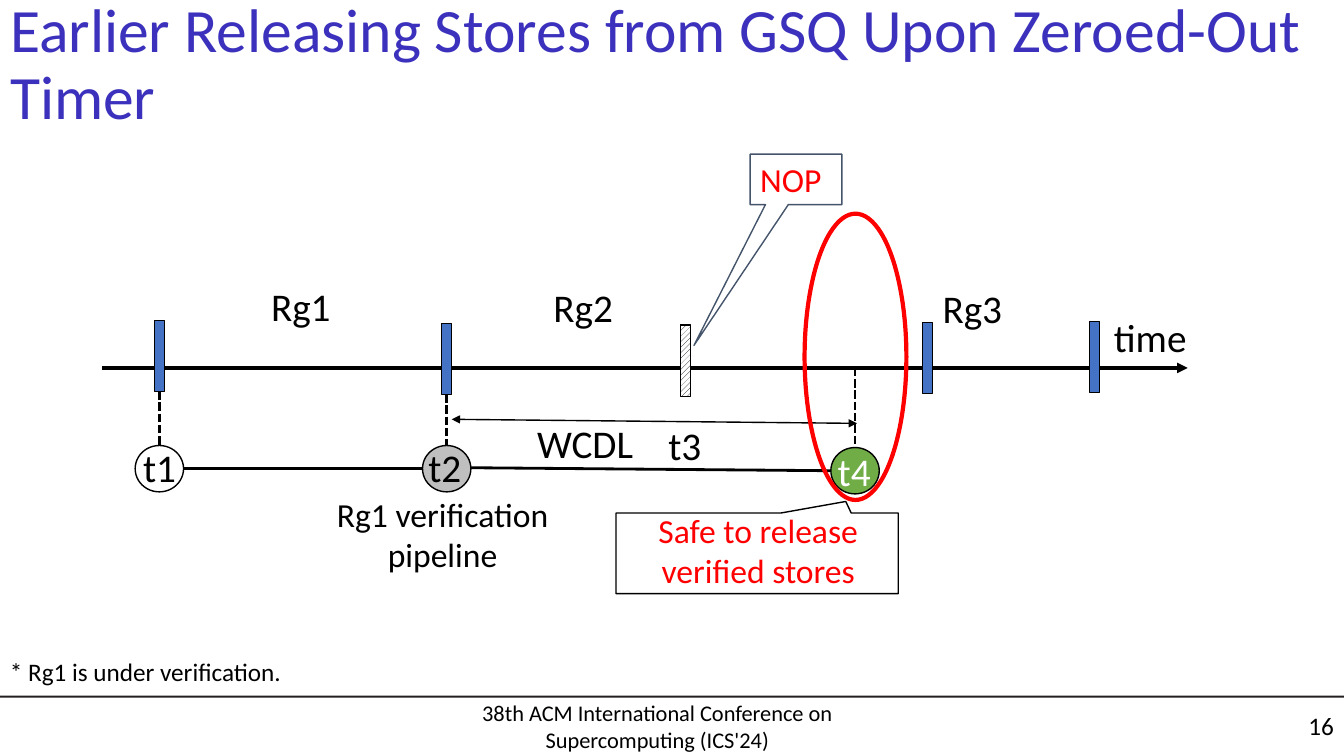
from lxml import etree
from pptx import Presentation
from pptx.dml.color import RGBColor
from pptx.enum.dml import MSO_LINE, MSO_PATTERN
from pptx.enum.shapes import MSO_CONNECTOR, MSO_SHAPE as SHAPE
from pptx.enum.text import MSO_ANCHOR as ANCHOR, MSO_AUTO_SIZE as FIT, PP_ALIGN as ALIGN
from pptx.oxml.ns import qn
from pptx.util import Inches, Pt

COLORS = {
    "title": "3B31BD", "ink": "000000", "paper": "FFFFFF", "alert": "FF0000",
    "region": "4472C4", "pending": "BFBFBF", "safe": "70AD47",
    "callout": "44546A", "rule": "231F20",
}


def rgb(name):
    return RGBColor.from_string(COLORS[name])


class TimelineSlide:
    """Holds the text style and the slide that the elements are added to."""

    def __init__(self, slide, font="Calibri"):
        self.slide = slide
        self.shapes = slide.shapes
        self.font = font

    def set_text(self, sp, text, size, color="ink", align=ALIGN.LEFT,
                 anchor=ANCHOR.TOP, wrap=False, fit=FIT.SHAPE_TO_FIT_TEXT, spacing=None):
        tf = sp.text_frame
        tf.text = text
        frame = {"word_wrap": wrap, "auto_size": fit, "vertical_anchor": anchor}
        for name, value in frame.items():
            setattr(tf, name, value)
        for p in tf.paragraphs:
            p.alignment = align
            p.line_spacing = spacing
            for r in p.runs:
                for name, value in {"name": self.font, "size": Pt(size)}.items():
                    setattr(r.font, name, value)
                r.font.color.rgb = rgb(color)

    def title(self, text, box):
        sp = self.shapes.title
        for name, value in zip(("left", "top", "width", "height"), box):
            setattr(sp, name, Inches(value))
        self.set_text(sp, text, 44, "title", anchor=ANCHOR.MIDDLE, wrap=True,
                      fit=FIT.NONE, spacing=0.9)

    def label(self, text, box, size=28, **style):
        sp = self.shapes.add_textbox(*map(Inches, box))
        self.set_text(sp, text, size, **style)

    def shape(self, kind, box, fill=None, line="ink", weight=1.0, adj=(), rotation=0):
        sp = self.shapes.add_shape(kind, *map(Inches, box))
        sp.shadow.inherit = False
        sp.rotation = rotation
        for i, value in enumerate(adj):
            sp.adjustments[i] = value
        if fill == "hatch":
            sp.fill.patterned()
            sp.fill.pattern = MSO_PATTERN.WIDE_UPWARD_DIAGONAL
            sp.fill.fore_color.rgb = rgb("ink")
            sp.fill.back_color.rgb = rgb("paper")
        elif fill:
            sp.fill.solid()
            sp.fill.fore_color.rgb = rgb(fill)
        else:
            sp.fill.background()
        if line:
            sp.line.color.rgb = rgb(line)
            sp.line.width = Pt(weight)
        else:
            sp.line.fill.background()
        return sp

    def bar(self, left, top, fill="region"):
        self.shape(SHAPE.RECTANGLE, (left, top, 0.1, 0.7), fill, weight=0)

    def node(self, left, top, fill):
        self.shape(SHAPE.OVAL, (left, top, 0.46, 0.48), fill, rotation=90)

    def line(self, start, end, weight=2.0, dashed=False, arrows=()):
        """Draw a line; arrows lists the ends ("head", "tail") with a triangle."""
        sp = self.shapes.add_connector(MSO_CONNECTOR.STRAIGHT,
                                       *map(Inches, (*start, *end)))
        sp.line.color.rgb = rgb("ink")
        sp.line.width = Pt(weight)
        if dashed:
            sp.line.dash_style = MSO_LINE.SQUARE_DOT
        spPr = sp._element.spPr
        ln = spPr.find(qn("a:ln"))
        for end_name in arrows:
            etree.SubElement(ln, qn(f"a:{end_name}End"), type="triangle")
        etree.SubElement(spPr, qn("a:effectLst"))


def main():
    prs = Presentation()
    prs.slide_width, prs.slide_height = Inches(13.33), Inches(7.5)
    s = TimelineSlide(prs.slides.add_slide(prs.slide_layouts[5]))

    s.shape(SHAPE.RECTANGLE, (0, 6.9, 13.33, 0.02), "rule", line=None)
    s.title("Earlier Releasing Stores from GSQ Upon Zeroed-Out Timer", (0, 0, 13.2, 1.31))
    footer = {"anchor": ANCHOR.MIDDLE, "wrap": True, "fit": FIT.NONE}
    s.label("16", (12.37, 7, 0.96, 0.4), 18, align=ALIGN.RIGHT, **footer)
    s.label("38th ACM International Conference on Supercomputing (ICS'24)",
            (4.13, 6.97, 4.78, 0.46), 16, align=ALIGN.CENTER, **footer)

    # Time axis with region boundaries
    axis = 3.65
    s.line((1.01, axis), (11.78, axis), 2.5, arrows=("tail",))
    s.label("time", (10.95, 3.06, 0.93, 0.57))
    for left, top in ((1.53, 3.18), (4.38, 3.21), (9.15, 3.2), (10.81, 3.19)):
        s.bar(left, top)
    for top in (3.22, 3.23):
        s.bar(6.75, top, "hatch")
    for text, left, top in (("Rg1", 2.59, 2.75), ("Rg2", 5.39, 2.76), ("Rg3", 9.25, 2.77)):
        s.label(text, (left, top, 0.8, 0.57))

    # Verification pipeline
    s.line((4.48, 4.16), (8.5, 4.2), 1, arrows=("head", "tail"))
    s.label("WCDL", (5.23, 4.11, 1.56, 0.57), wrap=True)
    for x, top, bottom in ((1.58, 3.88, 4.41), (4.43, 3.91, 4.42), (8.48, axis, 4.44)):
        s.line((x, top), (x, bottom), dashed=True)
    s.line((1.82, 4.65), (4.19, 4.65))
    s.line((4.62, 4.64), (8.24, 4.67))
    for left, top, fill in ((1.35, 4.41, "paper"), (4.2, 4.41, "pending"), (8.25, 4.43, "safe")):
        s.node(left, top, fill)
    for text, left, top, color in (("t1", 1.32, 4.35, "ink"), ("t2", 4.15, 4.35, "ink"),
                                   ("t3", 6.53, 4.13, "ink"), ("t4", 8.21, 4.39, "paper")):
        s.label(text, (left, top, 0.55, 0.57), color=color, wrap=True)
    s.label("Rg1 verification pipeline", (2.79, 4.85, 3.2, 0.9), 24,
            align=ALIGN.CENTER, wrap=True)
    s.label("* Rg1 is under verification.", (0, 6.46, 2.91, 0.4), 18)

    # Callouts
    nop = s.shape(SHAPE.RECTANGULAR_CALLOUT, (7.44, 1.53, 0.91, 0.5),
                  line="callout", adj=(-1.113, 3.295))
    s.set_text(nop, "NOP", 24, "alert", wrap=True)
    s.shape(SHAPE.OVAL, (7.98, 2.12, 1.01, 2.84), line="alert", weight=3)
    s.shape(SHAPE.RECTANGULAR_CALLOUT, (6.11, 5.09, 2.8, 0.8), adj=(0.314, -0.644))
    s.label("Safe to release\nverified stores", (6.43, 5.01, 2.18, 0.91), 24,
            color="alert", align=ALIGN.CENTER)

    prs.save("out.pptx")


if __name__ == "__main__":
    main()
